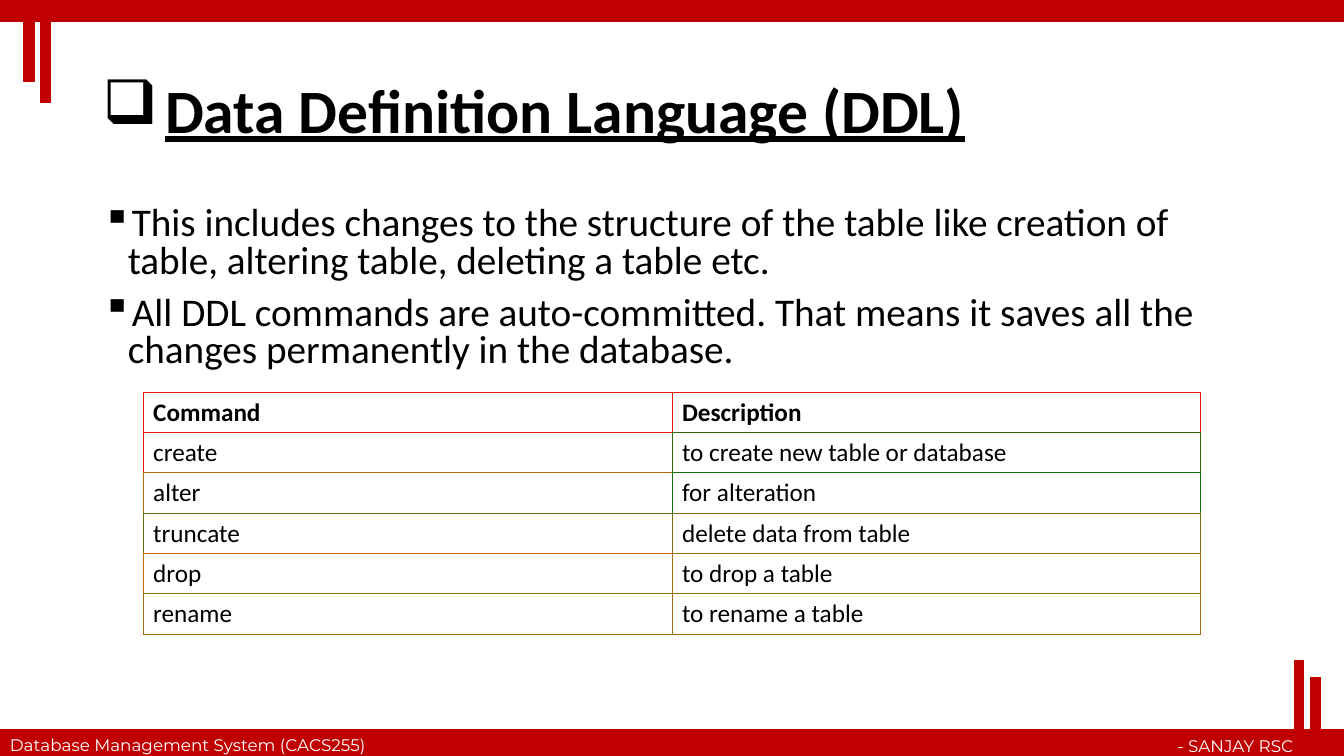
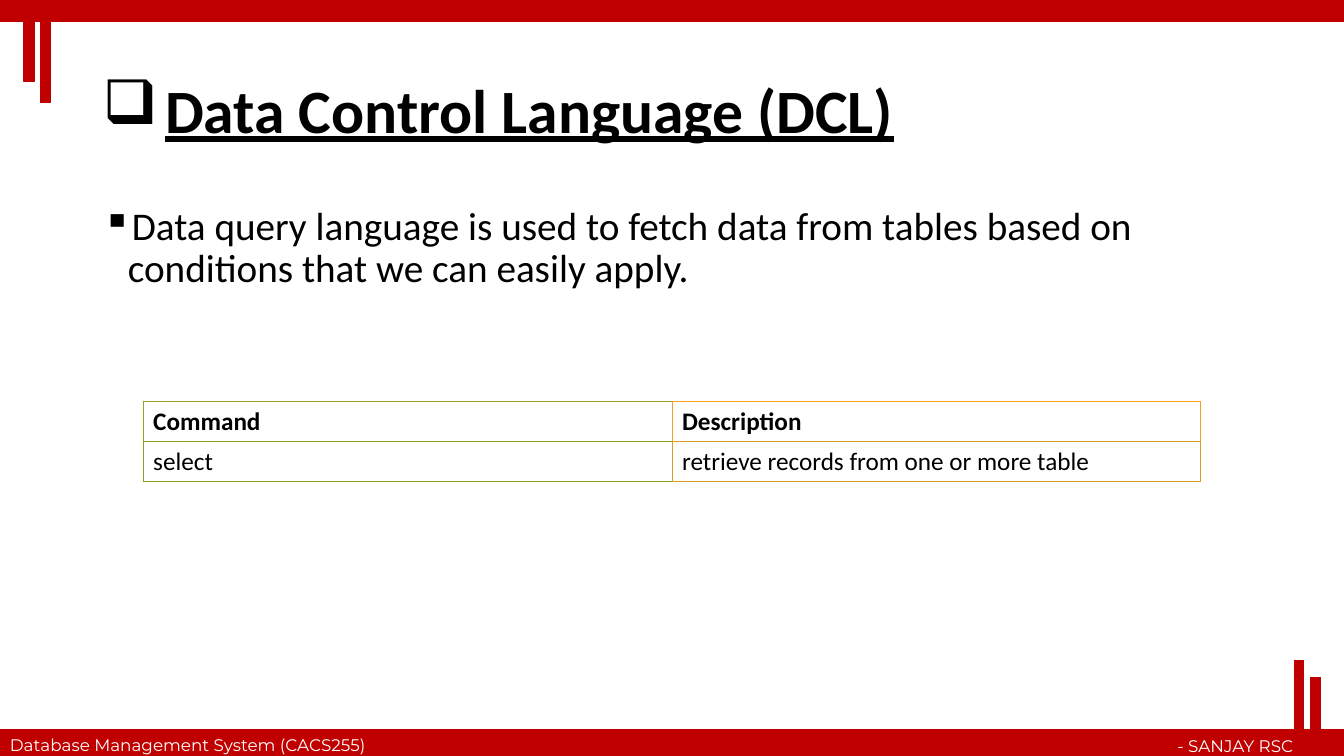
from collections import namedtuple

from lxml.etree import SubElement
from pptx import Presentation
from pptx.dml.color import RGBColor
from pptx.enum.shapes import MSO_SHAPE
from pptx.enum.text import MSO_ANCHOR, MSO_AUTO_SIZE, PP_ALIGN
from pptx.oxml.ns import qn
from pptx.util import Inches, Pt

WIDTH, HEIGHT = Inches(13.33), Inches(7.5)
COLORS = {"accent": "C00000", "text": "000000", "paper": "FFFFFF"}
BODY_FONT, FOOTER_FONT = "Calibri", "Montserrat"

# Boxes are left, top, width, height in percent of the slide.
Box = namedtuple("Box", "left top width height")
TOP_BAND = Box(0, 0, 100, 2.8)
FOOTER_BAND = Box(0, 96.53, 100, 3.47)
COURSE = Box(0, 96.53, 31.2, 4)
AUTHOR = Box(72.75, 96.67, 24.22, 4)
CORNER_BARS = [
    Box(3, 0.13, 0.75, 13.47),
    Box(1.8, 0.4, 0.75, 10.4),
    Box(96.32, 87.33, 0.68, 12.53),
    Box(97.52, 89.6, 0.75, 10.4),
]
TITLE = Box(6.9, 5.33, 86.27, 19.33)
BODY = Box(6.9, 26.67, 86.27, 25.33)
TABLE_LEFT, TABLE_WIDTH, ROW_HEIGHT = 10.65, 78.7, 5.33

HEADER = ("Command", "Description")
# A row's tints colour its cells' left and top borders.
TopicSlide = namedtuple("TopicSlide", "title points line_spacing table_top rows tints")
TOPICS = [
    TopicSlide(
        "Data Definition Language (DDL)",
        ["This includes changes to the structure of the table like creation of "
         "table, altering table, deleting a table etc.",
         "All DDL commands are auto-committed. That means it saves all the "
         "changes permanently in the database."],
        0.8, 51.87,
        [HEADER,
         ("create", "to create new table or database"),
         ("alter", "for alteration"),
         ("truncate", "delete data from table"),
         ("drop", "to drop a table"),
         ("rename", "to rename a table")],
        [("E8180C", "E8180C"), ("E8180C", "306A0C"), ("B86C0C", "186D0C"),
         ("586F0C", "786D0C"), ("D06C0C", "A06F0C"), ("986E0C", "986E0C")],
    ),
    TopicSlide(
        "Data Control Language (DCL)",
        ["Data query language is used to fetch data from tables based on "
         "conditions that we can easily apply."],
        0.9, 53.07,
        [HEADER, ("select", "retrieve records from one or more table")],
        [("98A01E", "F89D1E"), ("889E1E", "D89F1E")],
    ),
]


def emu(box):
    return (round(WIDTH * box.left / 100), round(HEIGHT * box.top / 100),
            round(WIDTH * box.width / 100), round(HEIGHT * box.height / 100))


def rgb(name):
    return RGBColor.from_string(COLORS[name])


def style(paragraph, size, font=BODY_FONT, color="text", bold=False, underline=False):
    for run in paragraph.runs:
        run.font.size = Pt(size)
        run.font.name = font
        run.font.color.rgb = rgb(color)
        run.font.bold = bold
        run.font.underline = underline


def set_bullet(paragraph, symbol, indent):
    """Hang the paragraph behind a bullet symbol; indent is in inches."""
    properties = paragraph._p.get_or_add_pPr()
    properties.set("marL", str(Inches(indent)))
    properties.set("indent", str(-Inches(indent)))
    SubElement(properties, qn("a:buChar"), char=symbol)


def add_bar(shapes, box):
    bar = shapes.add_shape(MSO_SHAPE.RECTANGLE, *emu(box))
    bar.shadow.inherit = False
    bar.fill.solid()
    bar.fill.fore_color.rgb = rgb("accent")
    bar.line.color.rgb = rgb("accent")
    bar.line.width = Pt(1)


def add_text(shapes, box, text):
    frame = shapes.add_textbox(*emu(box)).text_frame
    frame.word_wrap = True
    frame.text = text
    return frame


def add_frame(slide):
    """Add the bands, corner bars and footer that all slides share."""
    footer = slide.shapes.add_group_shape().shapes
    add_bar(footer, FOOTER_BAND)
    for box, text, align in (
        (COURSE, "Database Management System (CACS255)", PP_ALIGN.LEFT),
        (AUTHOR, "- SANJAY RSC", PP_ALIGN.RIGHT),
    ):
        frame = add_text(footer, box, text)
        frame.auto_size = MSO_AUTO_SIZE.SHAPE_TO_FIT_TEXT
        frame.paragraphs[0].alignment = align
        style(frame.paragraphs[0], 12, FOOTER_FONT, "paper")
    for box in (TOP_BAND, *CORNER_BARS):
        add_bar(slide.shapes, box)


def add_title(slide, box, text):
    frame = add_text(slide.shapes, box, text)
    frame.vertical_anchor = MSO_ANCHOR.MIDDLE
    heading = frame.paragraphs[0]
    heading.line_spacing = 0.9
    set_bullet(heading, "❑", 0.62)
    style(heading, 44, bold=True, underline=True)


def add_points(slide, box, points, line_spacing):
    frame = add_text(slide.shapes, box, "\n".join(points))
    for point in frame.paragraphs:
        point.line_spacing = line_spacing
        point.space_before = Pt(10)
        set_bullet(point, "▪", 0.25)
        style(point, 28)


def set_borders(cell, **sides):
    properties = cell._tc.get_or_add_tcPr()
    for side in "LRTB":
        line = SubElement(properties, qn(f"a:ln{side}"), w=str(Pt(0.75)))
        fill = SubElement(line, qn("a:solidFill"))
        SubElement(fill, qn("a:srgbClr"), val=sides[side])


def add_command_table(slide, box, rows, tints):
    table = slide.shapes.add_table(len(rows), len(HEADER), *emu(box)).table
    table.horz_banding = False
    last_row, last_column = len(rows) - 1, len(HEADER) - 1
    for r, row in enumerate(rows):
        for c, text in enumerate(row):
            cell = table.cell(r, c)
            cell.text = text
            style(cell.text_frame.paragraphs[0], 18, bold=r == 0)
            own = tints[r][c]
            # Right and bottom borders take the neighbouring cell's tint.
            set_borders(cell, L=own, T=own,
                        R=tints[r][min(c + 1, last_column)],
                        B=tints[min(r + 1, last_row)][c])
            cell.fill.solid()
            cell.fill.fore_color.rgb = rgb("paper")


def add_topic_slide(deck, topic):
    slide = deck.slides.add_slide(deck.slide_layouts[6])
    add_frame(slide)
    add_title(slide, TITLE, topic.title)
    add_points(slide, BODY, topic.points, topic.line_spacing)
    table_box = Box(TABLE_LEFT, topic.table_top, TABLE_WIDTH,
                    ROW_HEIGHT * len(topic.rows))
    add_command_table(slide, table_box, topic.rows, topic.tints)


def main():
    deck = Presentation()
    deck.slide_width, deck.slide_height = WIDTH, HEIGHT
    for topic in TOPICS:
        add_topic_slide(deck, topic)
    deck.save("out.pptx")


if __name__ == "__main__":
    main()
